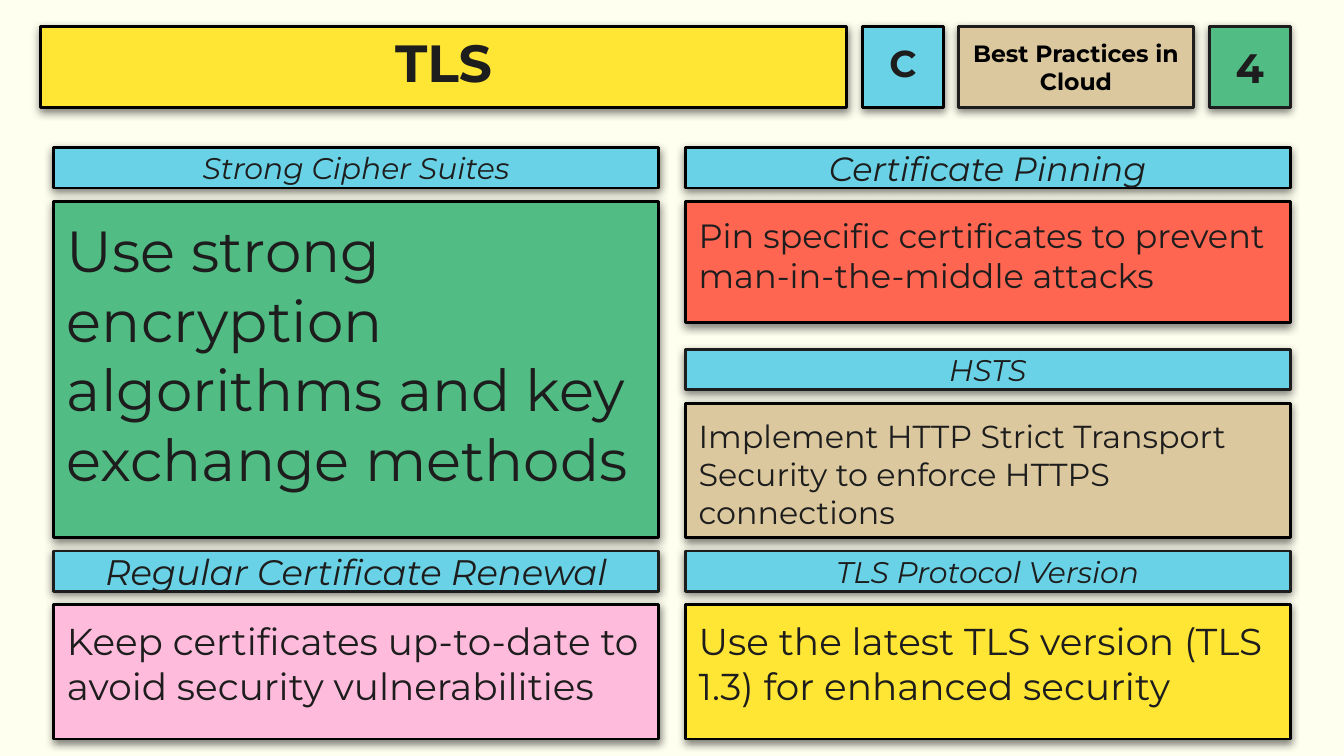
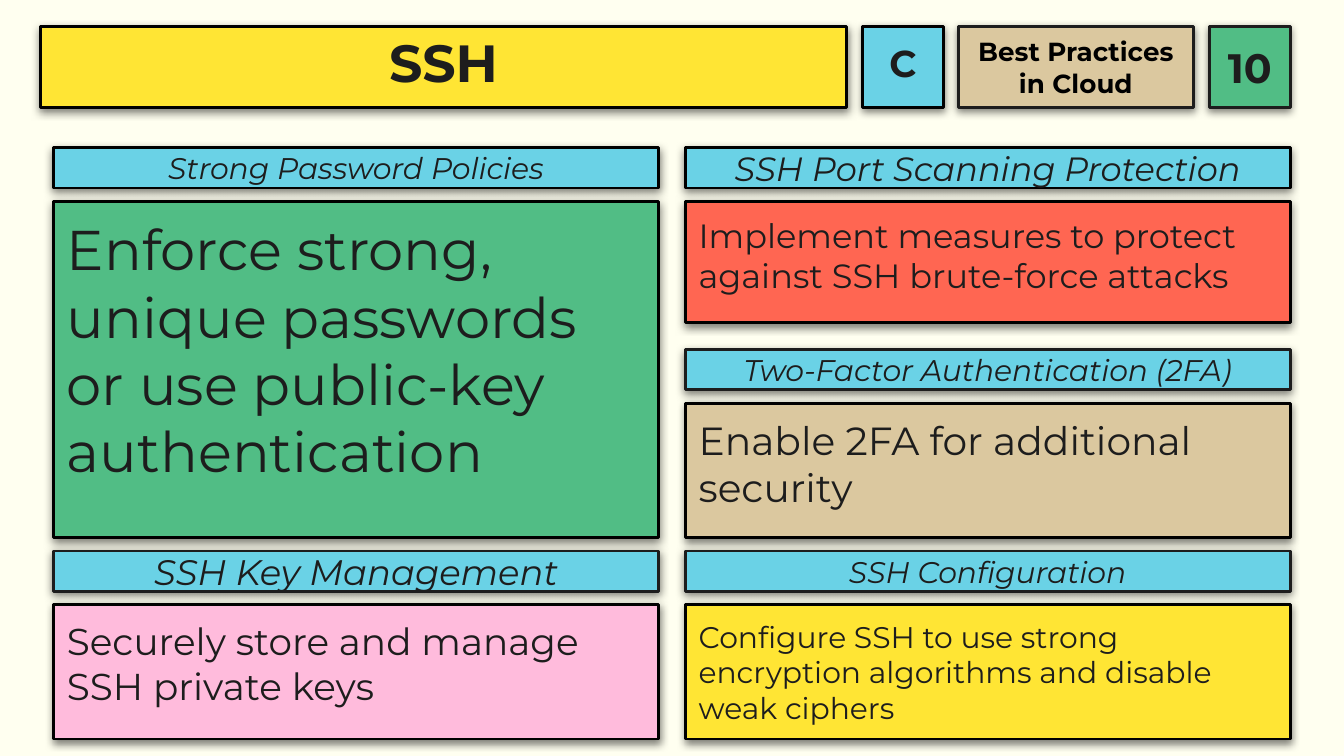
from lxml.etree import SubElement
from pptx import Presentation
from pptx.dml.color import RGBColor
from pptx.enum.shapes import MSO_SHAPE
from pptx.enum.text import MSO_ANCHOR, MSO_AUTO_SIZE, PP_ALIGN
from pptx.oxml.ns import qn
from pptx.util import Emu, Pt

PX = 4572
FONT = "Montserrat"
HEX = {
    "paper": "FFFFF0", "ink": "1D1D1D", "black": "000000",
    "yellow": "FFE534", "green": "51BD85", "red": "FF6652",
    "blue": "6AD2E6", "pink": "FFBBDC", "tan": "DBC89F",
}
LEFT, RIGHT, WIDE = 80, 1020, 900
HEAD, STEP = 60, 80

cards = [
    (LEFT, 220, 500, "green", "black"),
    (LEFT, 820, 200, "pink", "ink"),
    (RIGHT, 220, 180, "red", "black"),
    (RIGHT, 520, 200, "tan", "ink"),
    (RIGHT, 820, 200, "yellow", "ink"),
]
head_sizes = [16, 19, 18, 16, 16]

pages = [
    ("TLS", "4", 12.6, [
        ("Strong Cipher Suites", "Use strong encryption algorithms and key exchange methods", 31),
        ("Regular Certificate Renewal", "Keep certificates up-to-date to avoid security vulnerabilities", 20),
        ("Certificate Pinning", "Pin specific certificates to prevent man-in-the-middle attacks", 18),
        ("HSTS", "Implement HTTP Strict Transport Security to enforce HTTPS connections", 17),
        ("TLS Protocol Version", "Use the latest TLS version (TLS 1.3) for enhanced security", 20),
    ]),
    ("SSH", "10", 14, [
        ("Strong Password Policies", "Enforce strong, unique passwords or use public-key authentication", 30),
        ("SSH Key Management", "Securely store and manage SSH private keys", 20),
        ("SSH Port Scanning Protection", "Implement measures to protect against SSH brute-force attacks", 18),
        ("Two-Factor Authentication (2FA)", "Enable 2FA for additional security", 21),
        ("SSH Configuration", "Configure SSH to use strong encryption algorithms and disable weak ciphers", 16),
    ]),
]


def tint(name):
    return RGBColor.from_string(HEX[name])


def panel(slide, place, fill, text, size, edge="black", ink="ink",
          bold=False, slant=False, mid=True, gap=None, shape=None):
    x, y, w, h = [Emu(n * PX) for n in place]
    if shape is None:
        shape = slide.shapes.add_shape(MSO_SHAPE.RECTANGLE, x, y, w, h)
    shape.left, shape.top, shape.width, shape.height = x, y, w, h
    shape.fill.solid()
    shape.fill.fore_color.rgb = tint(fill)
    shape.line.color.rgb = tint(edge)
    shape.line.width = Pt(1.5)
    shape.shadow.inherit = False
    effects = shape.element.spPr.find(qn("a:effectLst"))
    shade = SubElement(effects, qn("a:outerShdw"), blurRad=str(Pt(4.5)),
                       dist=str(Pt(1.5)), dir="5400000", algn="bl", rotWithShape="0")
    color = SubElement(shade, qn("a:srgbClr"), val=HEX["black"])
    SubElement(color, qn("a:alpha"), val="50000")

    frame = shape.text_frame
    frame.text = text
    frame.word_wrap = True
    frame.auto_size = MSO_AUTO_SIZE.NONE
    frame.margin_left = frame.margin_right = Emu(20 * PX)
    frame.margin_top = frame.margin_bottom = Emu(20 * PX)
    frame.vertical_anchor = MSO_ANCHOR.MIDDLE if mid else MSO_ANCHOR.TOP
    para = frame.paragraphs[0]
    para.alignment = PP_ALIGN.CENTER if mid else PP_ALIGN.LEFT
    if gap:
        para.line_spacing = gap
    font = para.runs[0].font
    font.name, font.size = FONT, Pt(size)
    font.bold, font.italic = bold, slant
    font.color.rgb = tint(ink)


deck = Presentation()
deck.slide_width, deck.slide_height = Emu(2000 * PX), Emu(1125 * PX)

for title, number, topic_size, items in pages:
    slide = deck.slides.add_slide(deck.slide_layouts[5])
    slide.background.fill.solid()
    slide.background.fill.fore_color.rgb = tint("paper")

    panel(slide, (60, 40, 1200, 120), "yellow", title, 28,
          bold=True, gap=0.8, shape=slide.shapes.title)
    panel(slide, (1284, 40, 120, 120), "blue", "C", 20, bold=True, gap=0.8)
    panel(slide, (1426, 40, 350, 120), "tan", "Best Practices in Cloud", topic_size,
          edge="ink", ink="black", bold=True)
    panel(slide, (1800, 40, 120, 120), "green", number, 22, edge="ink", bold=True)

    for card, head_size, item in zip(cards, head_sizes, items):
        x, y, tall, fill, edge = card
        head, body, size = item
        panel(slide, (x, y, WIDE, HEAD), "blue", head, head_size, edge=edge, slant=True)
        panel(slide, (x, y + STEP, WIDE, tall), fill, body, size, mid=False)

deck.save("out.pptx")
